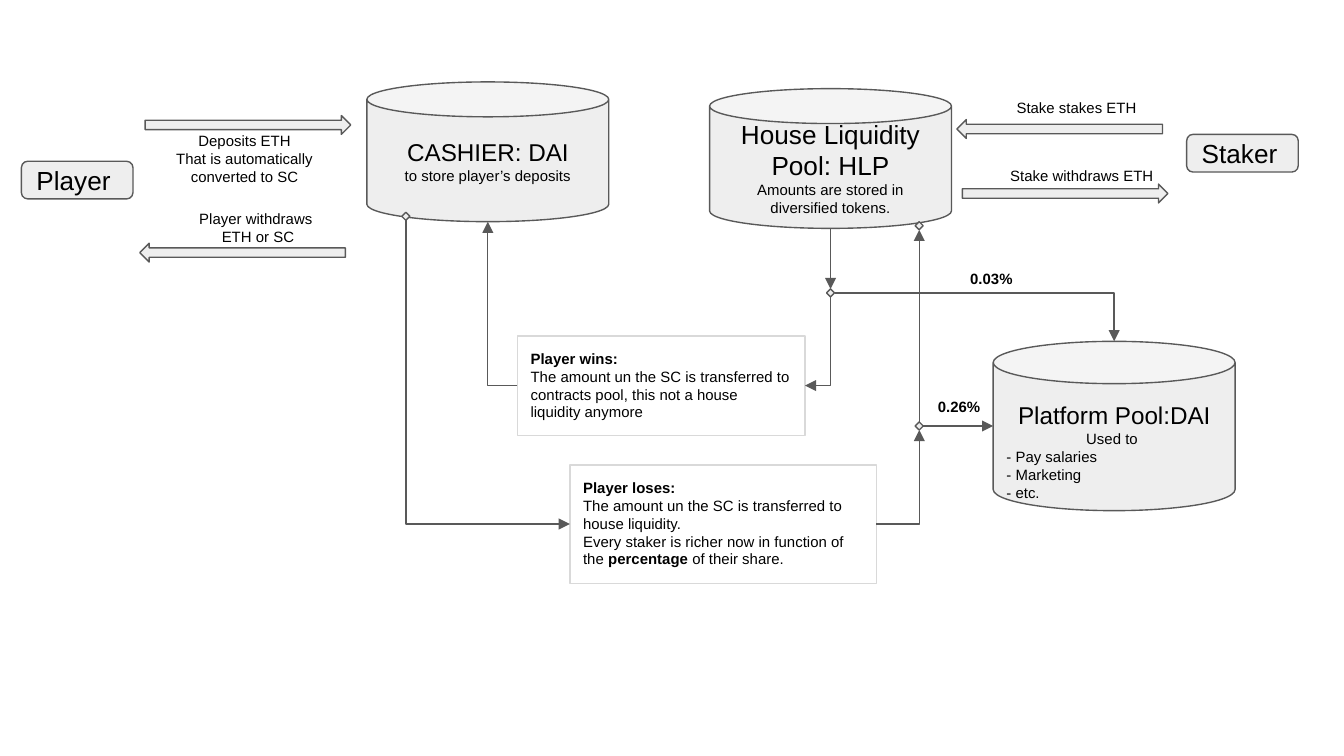
"""Build a slide showing how funds flow between players, pools and stakers."""
from dataclasses import dataclass

from lxml import etree
from pptx import Presentation
from pptx.dml.color import RGBColor
from pptx.enum.shapes import MSO_CONNECTOR, MSO_SHAPE
from pptx.enum.text import MSO_ANCHOR, MSO_AUTO_SIZE, PP_ALIGN
from pptx.oxml.ns import qn
from pptx.shapes.autoshape import Shape
from pptx.shapes.shapetree import SlideShapes
from pptx.util import Pt

PX = 9144
SLIDE_WIDTH = 1000
INSET = 10
TOP, LEFT, BOTTOM, RIGHT = range(4)
CAN, DIAMOND, RECT = MSO_SHAPE.CAN, MSO_SHAPE.DIAMOND, MSO_SHAPE.RECTANGLE
ROUNDED, ARROW = MSO_SHAPE.ROUNDED_RECTANGLE, MSO_SHAPE.LEFT_ARROW
STRAIGHT, ELBOW = MSO_CONNECTOR.STRAIGHT, MSO_CONNECTOR.ELBOW
MIDDLE, ANCHOR_TOP = MSO_ANCHOR.MIDDLE, MSO_ANCHOR.TOP
FIT_TEXT = MSO_AUTO_SIZE.SHAPE_TO_FIT_TEXT
AL_LEFT, AL_CENTER = PP_ALIGN.LEFT, PP_ALIGN.CENTER

BLACK = RGBColor(0x00, 0x00, 0x00)
INK = RGBColor(0x59, 0x59, 0x59)
PALE = RGBColor(0xEE, 0xEE, 0xEE)
BORDER = RGBColor(0xD9, 0xD9, 0xD9)


@dataclass(frozen=True)
class Line:
    """A paragraph whose asterisks switch bold on and off."""
    text: str
    size: int = 8
    align: PP_ALIGN = AL_LEFT


@dataclass(frozen=True)
class Node:
    """A preset shape with its box in px and its paragraphs."""
    preset: MSO_SHAPE
    box: tuple[int, int, int, int]
    lines: tuple[Line, ...] = ()
    rotation: int = 0
    top_inset: int = INSET


@dataclass(frozen=True)
class Label:
    """A free text with its box in px."""
    box: tuple[int, int, int, int]
    lines: tuple[Line, ...]


@dataclass(frozen=True)
class Link:
    """A connector between two node sides; an elbow leaves horizontally."""
    start: str
    start_side: int
    end: str
    end_side: int
    kind: MSO_CONNECTOR = STRAIGHT
    arrow: str = "tailEnd"


def centered(text: str, size: int = 8) -> Line:
    """Return a centred paragraph."""
    return Line(text, size, AL_CENTER)


def diamond(center_x: int, center_y: int) -> Node:
    """Return a small junction around a centre."""
    return Node(DIAMOND, (center_x - 3, center_y - 3, 6, 6))


def flow(left: int, top: int, rotation: int = 0) -> Node:
    """Return a block arrow, pointing left unless rotated."""
    return Node(ARROW, (left, top, 153, 14), rotation=rotation)


NODES = {
    "player": Node(ROUNDED, (16, 120, 83, 28), (Line("Player", 14),)),
    "staker": Node(ROUNDED, (883, 100, 83, 28), (Line("Staker", 14),)),
    "cashier": Node(CAN, (273, 61, 180, 104), (
        centered("CASHIER: DAI", 13), centered("to store player’s deposits"))),
    "stake": flow(712, 89),
    "unstake": flow(716, 137, 180),
    "house": Node(CAN, (528, 66, 180, 104), (
        centered("House Liquidity Pool: HLP", 14),
        centered("Amounts are stored in diversified tokens."))),
    "deposit": flow(108, 86, 180),
    "withdraw": flow(104, 181),
    "wins": Node(RECT, (385, 250, 214, 74), (
        Line("*Player wins:*"),
        Line("The amount un the SC is transferred to contracts pool, "
             "this not a house liquidity anymore"))),
    "loses": Node(RECT, (424, 346, 228, 88), (
        Line("*Player loses:*"),
        Line("The amount un the SC is transferred to house liquidity."),
        Line("Every staker is richer now in function of the *percentage* "
             "of their share."))),
    "platform": Node(CAN, (739, 254, 180, 126), (
        centered("Platform Pool:DAI", 13), centered("Used to "),
        Line("- Pay salaries"), Line("- Marketing"), Line("- etc.")),
        top_inset=31),
    "cashier exit": diamond(302, 161),
    "house entry": diamond(684, 168),
    "payout split": diamond(618, 218),
    "loss split": diamond(684, 317),
}

LABELS = (
    Label((727, 67, 148, 34), (centered("Stake stakes ETH"),)),
    Label((731, 117, 148, 34), (centered("Stake withdraws ETH"),)),
    Label((108, 88, 148, 61), (
        centered("Deposits ETH"),
        centered("That is automatically converted to SC"))),
    Label((118, 146, 148, 47), (
        centered("Player withdraws "), centered("ETH or SC"))),
    Label((712, 194, 56, 34), (Line("*0.03%*"),)),
    Label((688, 289, 63, 34), (Line("*0.26%*"),)),
)

LINKS = (
    Link("wins", RIGHT, "payout split", BOTTOM, ELBOW, "headEnd"),
    Link("loses", LEFT, "cashier exit", BOTTOM, ELBOW, "headEnd"),
    Link("loses", RIGHT, "loss split", BOTTOM, ELBOW),
    Link("wins", LEFT, "cashier", BOTTOM, ELBOW),
    Link("payout split", RIGHT, "platform", TOP, ELBOW),
    Link("house", BOTTOM, "payout split", TOP),
    Link("loss split", TOP, "house entry", BOTTOM),
    Link("loss split", RIGHT, "platform", LEFT),
)


def write(shape: Shape, lines: tuple[Line, ...], anchor: MSO_ANCHOR,
          top_inset: int = INSET) -> None:
    """Fill a shape with formatted paragraphs."""
    frame = shape.text_frame
    frame_format = {"word_wrap": True, "vertical_anchor": anchor,
                    "margin_top": top_inset * PX, "margin_left": INSET * PX,
                    "margin_right": INSET * PX, "margin_bottom": INSET * PX}
    for name, value in frame_format.items():
        setattr(frame, name, value)
    for index, line in enumerate(lines):
        paragraph = frame.add_paragraph() if index else frame.paragraphs[0]
        paragraph.alignment = line.align
        for part, text in enumerate(line.text.split("*")):
            if text:
                run = paragraph.add_run()
                run.text = text
                font_format = {"name": "Arial", "size": Pt(line.size),
                               "bold": part % 2 == 1}
                for name, value in font_format.items():
                    setattr(run.font, name, value)
                run.font.color.rgb = BLACK


def draw_node(shapes: SlideShapes, node: Node) -> Shape:
    """Draw one preset shape with its text."""
    shape = shapes.add_shape(node.preset, *(n * PX for n in node.box))
    shape.shadow.inherit = False
    shape.rotation = node.rotation
    is_note = node.preset == RECT
    if is_note:
        shape.fill.background()
    else:
        shape.fill.solid()
        shape.fill.fore_color.rgb = PALE
    shape.line.color.rgb = BORDER if is_note else INK
    shape.line.width = Pt(0.75)
    if node.lines:
        write(shape, node.lines, ANCHOR_TOP if is_note else MIDDLE, node.top_inset)
    return shape


def draw_label(shapes: SlideShapes, label: Label) -> None:
    """Draw one free text."""
    box = shapes.add_textbox(*(n * PX for n in label.box))
    write(box, label.lines, ANCHOR_TOP)
    box.text_frame.auto_size = FIT_TEXT


def side_point(node: Node, side: int) -> tuple[int, int]:
    """Return the middle of a node's side in EMU."""
    left, top, width, height = (n * PX for n in node.box)
    return {TOP: (left + width // 2, top),
            LEFT: (left, top + height // 2),
            BOTTOM: (left + width // 2, top + height),
            RIGHT: (left + width, top + height // 2)}[side]


def site(node: Node, side: int) -> int:
    """Return the connection site of a side; a can has an extra first one."""
    return side + (node.preset == CAN)


def draw_link(shapes: SlideShapes, link: Link, drawn: dict[str, Shape]) -> None:
    """Draw one joined connector with an arrowhead."""
    start, end = NODES[link.start], NODES[link.end]
    begin_point = side_point(start, link.start_side)
    end_point = side_point(end, link.end_side)
    connector = shapes.add_connector(link.kind, *begin_point, *end_point)
    connector.begin_connect(drawn[link.start], site(start, link.start_side))
    connector.end_connect(drawn[link.end], site(end, link.end_side))
    connector.begin_x, connector.begin_y = begin_point
    connector.end_x, connector.end_y = end_point
    connector.line.color.rgb = INK
    connector.line.width = Pt(0.75)
    properties = connector.element.spPr
    if link.kind == ELBOW:
        properties.find(qn("a:prstGeom")).set("prst", "bentConnector2")
    etree.SubElement(properties.find(qn("a:ln")), qn(f"a:{link.arrow}"), type="triangle")
    etree.SubElement(properties, qn("a:effectLst"))


def main() -> None:
    """Build and save the deck."""
    deck = Presentation()
    deck.slide_width = SLIDE_WIDTH * PX
    deck.slide_height = deck.slide_width * 9 // 16
    shapes = deck.slides.add_slide(deck.slide_layouts[6]).shapes
    drawn = {name: draw_node(shapes, node) for name, node in NODES.items()}
    for label in LABELS:
        draw_label(shapes, label)
    for link in LINKS:
        draw_link(shapes, link, drawn)
    deck.save("out.pptx")


if __name__ == "__main__":
    main()
